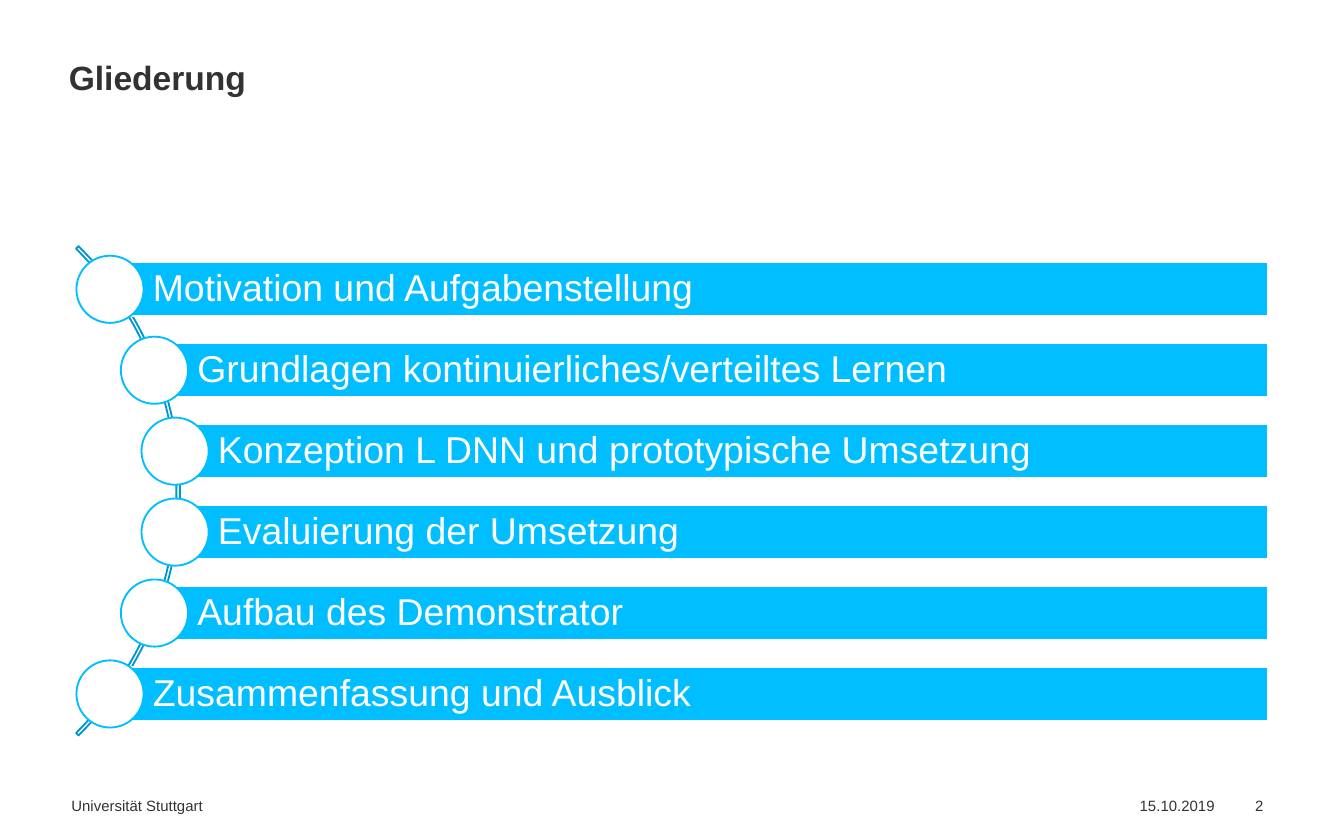
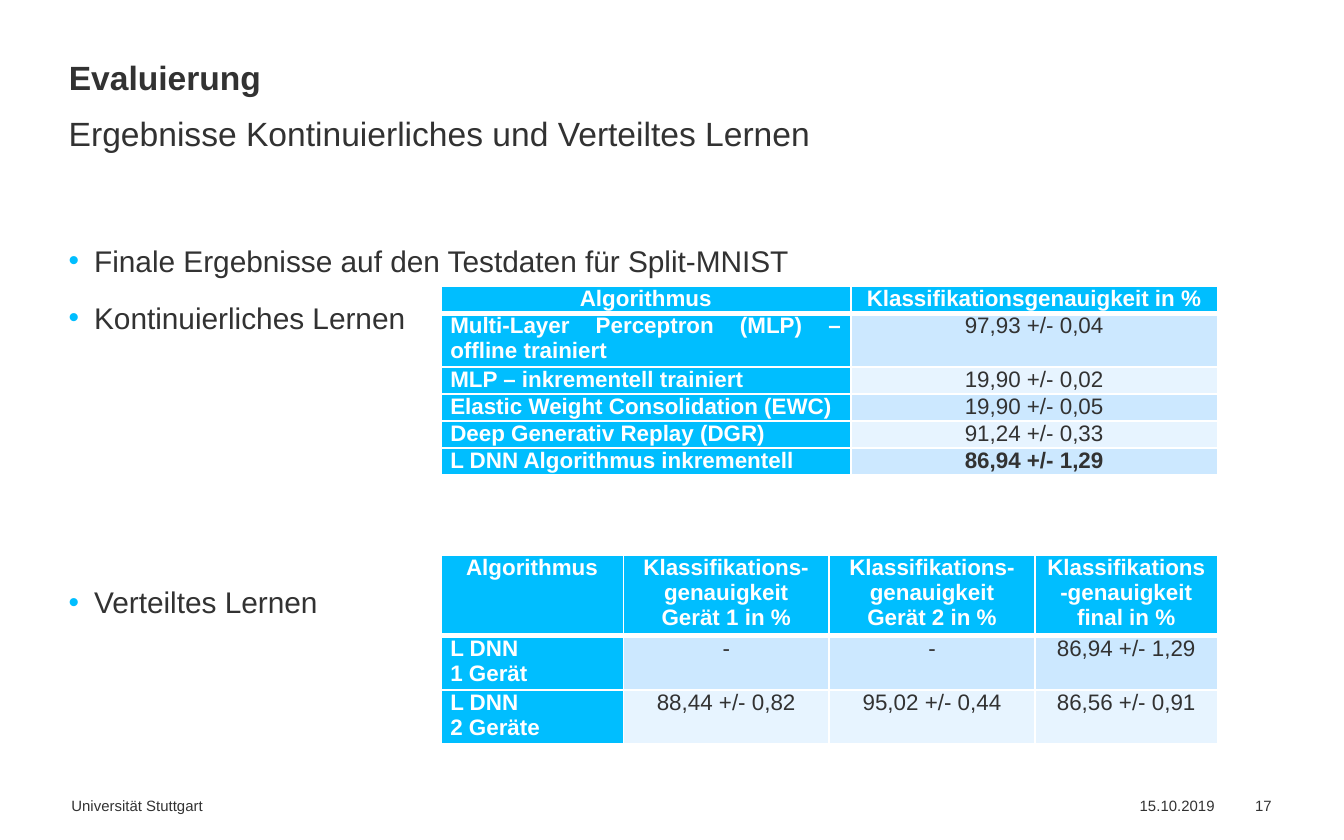
from dataclasses import dataclass

from lxml import etree
from pptx import Presentation
from pptx import util as u
from pptx.dml.color import RGBColor
from pptx.enum import shapes, text
from pptx.oxml import ns

WHITE = RGBColor(0xFF, 0xFF, 0xFF)
DARK = RGBColor(0x32, 0x32, 0x32)
CYAN = RGBColor(0x00, 0xBE, 0xFF)
BLUE = RGBColor(0x00, 0x98, 0xCC)
BANDS = (RGBColor(0xCC, 0xE8, 0xFF), RGBColor(0xE7, 0xF4, 0xFF))
FONT = "Arial"
KIND = shapes.MSO_SHAPE
ALIGN = text.PP_ALIGN
ANCHOR = text.MSO_ANCHOR
EDGE = 1.3
WIDE = 22.81
ROW = 0.51


@dataclass(frozen=True)
class Box:
    left: float
    top: float
    width: float
    height: float

    def cm(self) -> tuple:
        return tuple(u.Cm(n) for n in (self.left, self.top, self.width, self.height))


@dataclass(frozen=True)
class Item:
    label: str
    left: float


@dataclass(frozen=True)
class Grid:
    top: float
    cols: tuple
    lines: tuple
    rows: tuple
    side: int
    best: str = ""


TITLE = Box(EDGE, 1.09, WIDE, 0.76)
SUB = Box(EDGE, 1.98, WIDE, 0.76)
BODY = Box(EDGE, 4.45, WIDE, 9.7)
ARC = Box(-9.68, 2.74, 13.08, 13.08)

ITEMS = (
    Item("Motivation und Aufgabenstellung", 2.08),
    Item("Grundlagen kontinuierliches/verteiltes Lernen", 2.92),
    Item("Konzeption L DNN und prototypische Umsetzung", 3.31),
    Item("Evaluierung der Umsetzung", 3.31),
    Item("Aufbau des Demonstrator", 2.92),
    Item("Zusammenfassung und Ausblick", 2.08),
)

POINTS = (
    ("Finale Ergebnisse auf den Testdaten für Split-MNIST", 0),
    ("Kontinuierliches Lernen", 7.5),
    ("Verteiltes Lernen", 129.5),
)

GRIDS = (
    Grid(
        top=5.41,
        cols=(7.75, 6.93),
        lines=(1, 2, 1, 1, 1, 1),
        rows=(
            ("Algorithmus", "Klassifikationsgenauigkeit in %"),
            ("Multi-Layer Perceptron (MLP) – offline trainiert", "97,93 +/- 0,04"),
            ("MLP – inkrementell trainiert", "19,90 +/- 0,02"),
            ("Elastic Weight Consolidation (EWC)", "19,90 +/- 0,05"),
            ("Deep Generativ Replay (DGR)", "91,24 +/- 0,33"),
            ("L DNN Algorithmus inkrementell", "86,94 +/- 1,29"),
        ),
        side=ALIGN.JUSTIFY,
        best="86,94 +/- 1,29",
    ),
    Grid(
        top=10.49,
        cols=(3.45, 3.89, 3.89, 3.45),
        lines=(3, 2, 2),
        rows=(
            (
                "Algorithmus",
                "Klassifikations-genauigkeit Gerät 1 in %",
                "Klassifikations-genauigkeit Gerät 2 in %",
                "Klassifikations-genauigkeit final in %",
            ),
            ("L DNN\n1 Gerät", "-", "-", "86,94 +/- 1,29"),
            ("L DNN\n2 Geräte", "88,44 +/- 0,82", "95,02 +/- 0,44", "86,56 +/- 0,91"),
        ),
        side=ALIGN.LEFT,
    ),
)


def write(par, words: str, *, size: float, color: RGBColor = DARK, bold: bool = False,
          align: int = ALIGN.LEFT, line: float = 1.0, before: float = 0) -> None:
    par.alignment = align
    par.line_spacing = line
    par.space_before = u.Pt(before)
    run = par.add_run()
    run.text = words
    run.font.name = FONT
    run.font.size = u.Pt(size)
    run.font.bold = bold
    run.font.color.rgb = color


def fit(frame, anchor: int = ANCHOR.TOP, pads: tuple = (0, 0, 0, 0)):
    frame.word_wrap = True
    frame.auto_size = text.MSO_AUTO_SIZE.NONE
    frame.vertical_anchor = anchor
    (frame.margin_left, frame.margin_top,
     frame.margin_right, frame.margin_bottom) = (u.Cm(n) for n in pads)
    return frame


def label(slide, box: Box, words: str, **form) -> None:
    frame = fit(slide.shapes.add_textbox(*box.cm()).text_frame)
    write(frame.paragraphs[0], words, **form)


def shape(slide, kind: int, box: Box, fill: RGBColor | None, line: RGBColor):
    form = slide.shapes.add_shape(kind, *box.cm())
    form.shadow.inherit = False
    if fill is None:
        form.fill.background()
    else:
        form.fill.solid()
        form.fill.fore_color.rgb = fill
    form.line.color.rgb = line
    form.line.width = u.Pt(1)
    return form


def page(deck, name: str, number: int):
    slide = deck.slides.add_slide(deck.slide_layouts[5])
    title = slide.shapes.title
    title.left, title.top, title.width, title.height = TITLE.cm()
    frame = fit(title.text_frame, ANCHOR.BOTTOM)
    write(frame.paragraphs[0], name, size=18, bold=True, line=0.9)
    for left, width, words in (
        (1.35, 16.8, "Universität Stuttgart"),
        (21.54, 1.48, "15.10.2019"),
        (23.72, 0.6, str(number)),
    ):
        label(slide, Box(left, 15.06, width, 0.35), words, size=8)
    return slide


def step(slide, item: Item, top: float) -> None:
    size = 1.27
    high = 1.02
    box = Box(item.left, top, 23.96 - item.left, high)
    bar = shape(slide, KIND.RECTANGLE, box, CYAN, WHITE)
    frame = fit(bar.text_frame, ANCHOR.MIDDLE, (0.81, 0.15, 0.15, 0.15))
    write(frame.paragraphs[0], item.label, size=20, color=WHITE, line=0.9)
    dot = Box(item.left - size / 2, top - (size - high) / 2, size, size)
    shape(slide, KIND.OVAL, dot, WHITE, CYAN)


def bullet(par) -> None:
    props = par._p.get_or_add_pPr()
    props.set("marL", str(u.Cm(0.48)))
    props.set("indent", str(u.Cm(-0.48)))
    tint = etree.SubElement(props, ns.qn("a:buClr"))
    etree.SubElement(tint, ns.qn("a:srgbClr"), val=str(CYAN))
    etree.SubElement(props, ns.qn("a:buFont"), typeface=FONT)
    etree.SubElement(props, ns.qn("a:buChar"), char="•")


def border(cell, row: int) -> None:
    props = cell._tc.get_or_add_tcPr()
    sides = {"lnL": 1, "lnR": 1, "lnT": 3 if row == 1 else 1, "lnB": 3 if row == 0 else 1}
    for side, width in sides.items():
        line = etree.SubElement(props, ns.qn(f"a:{side}"), w=str(u.Pt(width)))
        fill = etree.SubElement(line, ns.qn("a:solidFill"))
        etree.SubElement(fill, ns.qn("a:srgbClr"), val=str(WHITE))


def table(slide, grid: Grid) -> None:
    box = Box(8.33, grid.top, sum(grid.cols), ROW * sum(grid.lines))
    tab = slide.shapes.add_table(len(grid.rows), len(grid.cols), *box.cm()).table
    tab.horz_banding = False
    for col, width in zip(tab.columns, grid.cols):
        col.width = u.Cm(width)
    for row, count in zip(tab.rows, grid.lines):
        row.height = u.Cm(ROW * count)
    for r, row in enumerate(grid.rows):
        for c, words in enumerate(row):
            cell = tab.cell(r, c)
            head = r == 0 or c == 0
            border(cell, r)
            cell.fill.solid()
            cell.fill.fore_color.rgb = CYAN if head else BANDS[(r - 1) % 2]
            cell.margin_left = cell.margin_right = u.Cm(0.18)
            cell.margin_top = cell.margin_bottom = 0
            frame = cell.text_frame
            for n, part in enumerate(words.split("\n")):
                par = frame.add_paragraph() if n else frame.paragraphs[0]
                write(par, part, size=12, color=WHITE if head else DARK,
                      bold=head or words == grid.best,
                      align=grid.side if c == 0 and r else ALIGN.CENTER)


def outline(deck) -> None:
    slide = page(deck, "Gliederung", 2)
    arc = shape(slide, KIND.BLOCK_ARC, ARC, None, BLUE)
    for n, value in enumerate((189, 27, 0.005)):
        arc.adjustments[n] = value
    for n, item in enumerate(ITEMS):
        step(slide, item, 4.96 + 1.53 * n)


def results(deck) -> None:
    slide = page(deck, "Evaluierung", 17)
    label(slide, SUB, "Ergebnisse Kontinuierliches und Verteiltes Lernen", size=18, line=1.2)
    frame = fit(slide.shapes.add_textbox(*BODY.cm()).text_frame)
    for n, (words, gap) in enumerate(POINTS):
        par = frame.add_paragraph() if n else frame.paragraphs[0]
        bullet(par)
        write(par, words, size=16, line=1.2, before=gap)
    for grid in GRIDS:
        table(slide, grid)


def main() -> None:
    deck = Presentation()
    deck.slide_width = u.Cm(25.4)
    deck.slide_height = u.Cm(15.88)
    outline(deck)
    results(deck)
    deck.save("out.pptx")


if __name__ == "__main__":
    main()
